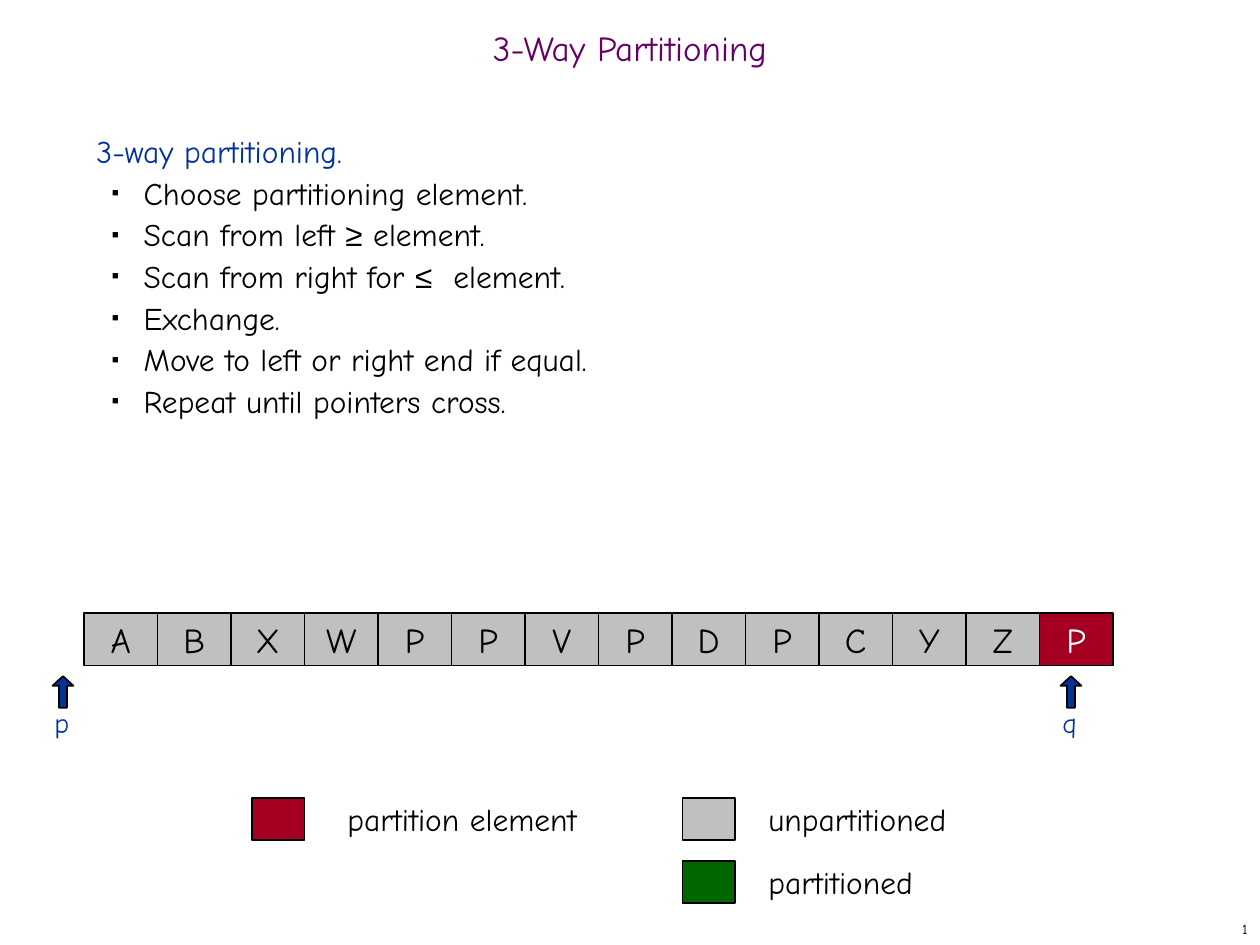
from dataclasses import dataclass

from lxml import etree
from pptx import Presentation
from pptx.dml.color import RGBColor
from pptx.enum.shapes import MSO_SHAPE
from pptx.enum.text import MSO_ANCHOR, PP_ALIGN
from pptx.oxml.ns import qn
from pptx.util import Pt

RECT, ARROW = MSO_SHAPE.RECTANGLE, MSO_SHAPE.UP_ARROW
LEFT, MID, RIGHT = PP_ALIGN.LEFT, PP_ALIGN.CENTER, PP_ALIGN.RIGHT
TOP, CENTER = MSO_ANCHOR.TOP, MSO_ANCHOR.MIDDLE
PX = 7620  # EMU per px, 120 px to the inch


@dataclass(frozen=True)
class Theme:
    font: str = "Comic Neue"
    math: str = "Arial"
    black: str = "000000"
    white: str = "FFFFFF"
    purple: str = "660066"
    blue: str = "003399"
    gray: str = "C0C0C0"
    red: str = "A50021"
    green: str = "006600"
    big: int = 20
    body: int = 18
    label: int = 16
    small: int = 8


@dataclass(frozen=True)
class Box:
    x: int
    y: int
    w: int
    h: int

    def emu(self) -> tuple:
        return self.x * PX, self.y * PX, self.w * PX, self.h * PX


@dataclass(frozen=True)
class Key:
    text: str
    fill: str
    x: int
    y: int
    align: PP_ALIGN = LEFT


@dataclass(frozen=True)
class Mark:
    name: str
    x: int


T = Theme()
STEPS = (
    "Choose partitioning element.",
    "Scan from left ≥ element.",
    "Scan from right for ≤  element.",
    "Exchange.",
    "Move to left or right end if equal.",
    "Repeat until pointers cross.",
)
ITEMS = "ABXWPPVPDPCYZP"
CELL = Box(80, 584, 70, 50)
KEYS = (
    Key("partitioned", T.green, 650, 820),
    Key("partition element", T.red, 240, 760, MID),
    Key("unpartitioned", T.gray, 650, 760),
)
MARKS = (Mark("p", 40), Mark("q", 1000))


def pieces(text: str) -> list:
    """Split text so that each comparison sign stands alone."""
    for sign in "≥≤":
        text = text.replace(sign, f"|{sign}|")
    return text.split("|")


def put_text(frame, text: str, *, size: int = T.body, color: str = T.black,
             align: PP_ALIGN = LEFT, anchor: MSO_ANCHOR = CENTER,
             before: float = 0, line: float = 1, more: bool = False):
    """Write one paragraph, after those already there if more is set."""
    frame.word_wrap = True
    frame.vertical_anchor = anchor
    para = frame.add_paragraph() if more else frame.paragraphs[0]
    para.alignment = align
    para.space_before = Pt(before)
    para.line_spacing = line
    for part in pieces(text):
        run = para.add_run()
        run.text = part
        run.font.name = T.math if part in ("≥", "≤") else T.font
        run.font.size = Pt(size)
        run.font.color.rgb = RGBColor.from_string(color)
    return para


def add_bullet(para) -> None:
    para.level = 1
    props = para._p.get_or_add_pPr()
    props.set("marL", str(45 * PX))
    props.set("indent", str(-30 * PX))
    tint = etree.SubElement(props, qn("a:buClr"))
    etree.SubElement(tint, qn("a:srgbClr"), val=T.black)
    etree.SubElement(props, qn("a:buSzPct"), val="35000")
    etree.SubElement(props, qn("a:buFont"), typeface=T.math)
    etree.SubElement(props, qn("a:buChar"), char="■")


def add_text(slide, box: Box, text: str, **form):
    frame = slide.shapes.add_textbox(*box.emu()).text_frame
    put_text(frame, text, **form)
    return frame


def add_shape(slide, box: Box, fill: str, kind: MSO_SHAPE = RECT,
              width: float = 0.75):
    shape = slide.shapes.add_shape(kind, *box.emu())
    shape.shadow.inherit = False
    shape.fill.solid()
    shape.fill.fore_color.rgb = RGBColor.from_string(fill)
    shape.line.color.rgb = RGBColor.from_string(T.black)
    shape.line.width = Pt(width)
    return shape


def add_steps(slide) -> None:
    frame = add_text(slide, Box(80, 120, 1030, 710), "3-way partitioning.",
                     color=T.blue, anchor=TOP, before=2.2)
    for step in STEPS:
        add_bullet(put_text(frame, step, anchor=TOP, before=2.2, more=True))


def add_array(slide) -> None:
    last = len(ITEMS) - 1
    for i, item in enumerate(ITEMS):
        fill, color = (T.red, T.white) if i == last else (T.gray, T.black)
        box = Box(CELL.x + i * CELL.w, CELL.y, CELL.w, CELL.h)
        cell = add_shape(slide, box, fill)
        put_text(cell.text_frame, item, size=T.big, color=color, align=MID)


def add_key(slide, key: Key) -> None:
    add_shape(slide, Box(key.x, key.y, 50, 40), key.fill)
    add_text(slide, Box(key.x + 70, key.y, 260, 40), key.text, align=key.align)


def add_mark(slide, mark: Mark) -> None:
    add_text(slide, Box(mark.x, 666, 40, 44), mark.name, size=T.label,
             color=T.blue, anchor=TOP, before=10)
    arrow = add_shape(slide, Box(mark.x + 10, 644, 20, 30), T.blue, ARROW, 1)
    arrow.adjustments[0] = 0.38
    arrow.adjustments[1] = 0.46


def main() -> None:
    deck = Presentation()
    deck.slide_width, deck.slide_height = 1200 * PX, 900 * PX
    slide = deck.slides.add_slide(deck.slide_layouts[6])
    add_text(slide, Box(0, 20, 1200, 60), "3-Way Partitioning", size=T.big,
             color=T.purple, align=MID, line=0.7)
    add_steps(slide)
    add_array(slide)
    for key in KEYS:
        add_key(slide, key)
    for mark in MARKS:
        add_mark(slide, mark)
    add_text(slide, Box(950, 870, 250, 30), "1", size=T.small, align=RIGHT)
    deck.save("out.pptx")


if __name__ == "__main__":
    main()
